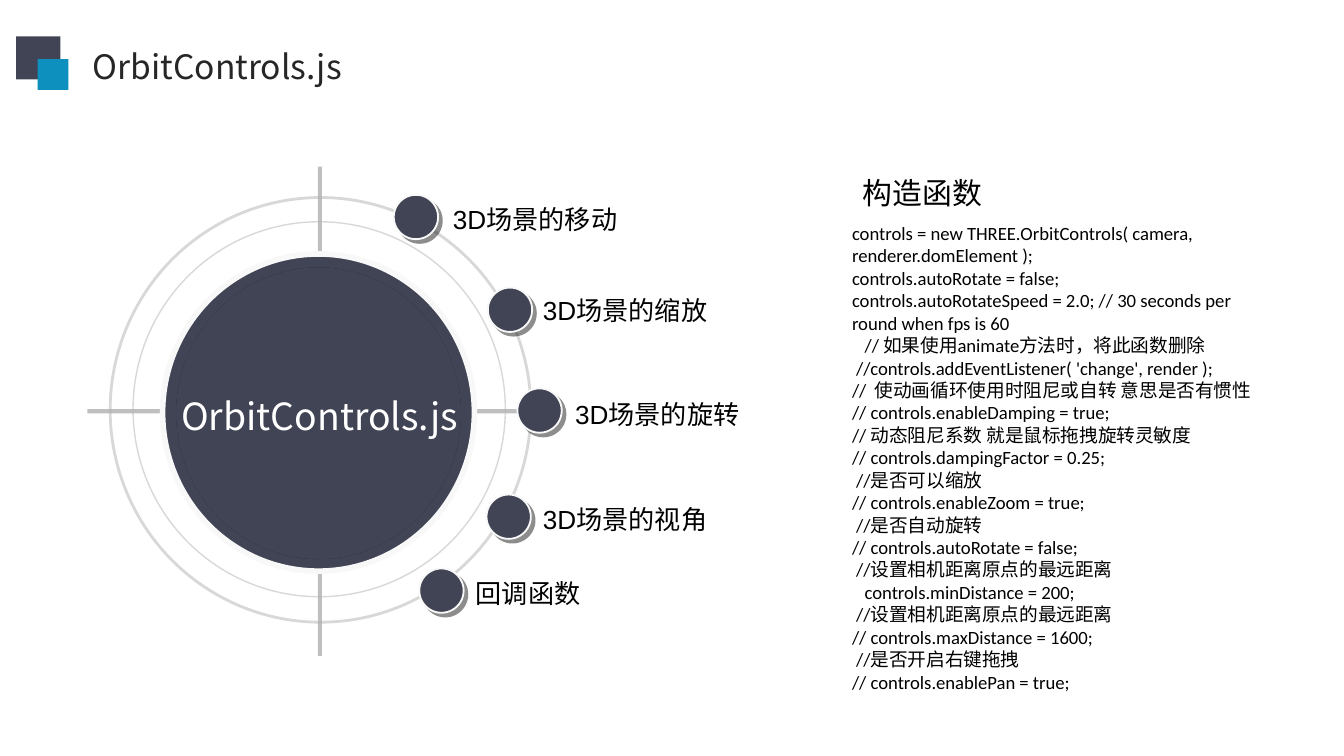
from dataclasses import dataclass
from typing import Optional
import pptx
import pptx.util
import pptx.dml.color
import pptx.enum.shapes
import pptx.enum.text
import pptx.oxml
import pptx.oxml.ns

Inches = pptx.util.Inches
Pt = pptx.util.Pt
Kind = pptx.enum.shapes.MSO_SHAPE
Align = pptx.enum.text.PP_ALIGN
Anchor = pptx.enum.text.MSO_ANCHOR
Fit = pptx.enum.text.MSO_AUTO_SIZE
NS = pptx.oxml.ns.nsdecls("a")

WIDE = Inches(10)
DARK, BLUE, PALE = "414455", "0E90BE", "F8F8F8"
NOTO = "Noto Sans CJK SC"
TIGHT = {"margin_left": Inches(0.08), "margin_right": Inches(0.08),
         "margin_top": Inches(0.04), "margin_bottom": Inches(0.04),
         "word_wrap": True, "auto_size": Fit.NONE}


@dataclass
class Form:
    kind: Kind
    box: tuple
    fill: Optional[str] = None
    line: Optional[str] = None
    width: float = 0
    alpha: int = 100
    shade: Optional[str] = None
    dist: float = 0


@dataclass
class Dot:
    text: str
    left: float
    top: float
    label: tuple


@dataclass
class Style:
    size: float
    face: str
    hue: str = "000000"
    align: Align = Align.LEFT


DOTS = [
    Dot("3D场景的移动", 2.93, 1.45, (3.29, 1.47)),
    Dot("3D场景的缩放", 3.63, 2.14, (3.96, 2.15)),
    Dot("3D场景的旋转", 3.85, 2.89, (4.2, 2.92)),
    Dot("3D场景的视角", 3.62, 3.68, (3.96, 3.7)),
    Dot("回调函数", 3.12, 4.23, (3.46, 4.25)),
]

CODE = """controls = new THREE.OrbitControls( camera, renderer.domElement );
controls.autoRotate = false;
controls.autoRotateSpeed = 2.0; // 30 seconds per round when fps is 60
   // 如果使用animate方法时，将此函数删除
 //controls.addEventListener( 'change', render );
//  使动画循环使用时阻尼或自转 意思是否有惯性
// controls.enableDamping = true;
// 动态阻尼系数 就是鼠标拖拽旋转灵敏度
// controls.dampingFactor = 0.25;
 //是否可以缩放
// controls.enableZoom = true;
 //是否自动旋转
// controls.autoRotate = false;
 //设置相机距离原点的最远距离
   controls.minDistance = 200;
 //设置相机距离原点的最远距离
// controls.maxDistance = 1600;
 //是否开启右键拖拽
// controls.enablePan = true;"""


def paint(hue: str) -> pptx.dml.color.RGBColor:
    return pptx.dml.color.RGBColor.from_string(hue)


def apply(item, looks: dict) -> None:
    for name, value in looks.items():
        setattr(item, name, value)


def stroke(line, hue: str, width: float, alpha: int) -> None:
    line.color.rgb = paint(hue)
    line.width = Pt(width)
    if alpha < 100:
        tint = line.fill._xPr.find(".//" + pptx.oxml.ns.qn("a:srgbClr"))
        tint.append(pptx.oxml.parse_xml(f'<a:alpha {NS} val="{alpha * 1000}"/>'))


def draw(slide, form: Form):
    shape = slide.shapes.add_shape(form.kind, *map(Inches, form.box))
    shape.shadow.inherit = False
    if form.fill:
        shape.fill.solid()
        shape.fill.fore_color.rgb = paint(form.fill)
    else:
        shape.fill.background()
    if form.line:
        stroke(shape.line, form.line, form.width, form.alpha)
    else:
        shape.line.fill.background()
    if form.shade:
        glow = shape._element.spPr.find(pptx.oxml.ns.qn("a:effectLst"))
        glow.append(pptx.oxml.parse_xml(
            f'<a:outerShdw {NS} blurRad="0" dist="{Pt(form.dist)}" dir="2700000" '
            f'algn="ctr" rotWithShape="0"><a:srgbClr val="{form.shade}">'
            f'<a:alpha val="50000"/></a:srgbClr></a:outerShdw>'))
    return shape


def rule(slide, start: tuple, end: tuple) -> None:
    line = slide.shapes.add_connector(
        pptx.enum.shapes.MSO_CONNECTOR.STRAIGHT, *map(Inches, start + end))
    stroke(line.line, "808080", 2.25, 50)
    line._element.spPr.append(pptx.oxml.parse_xml(f"<a:effectLst {NS}/>"))


def write(shape, text: str, style: Style, looks: dict) -> None:
    frame = shape.text_frame
    frame.text = text
    apply(frame, looks)
    for para in frame.paragraphs:
        props = para._p.get_or_add_pPr()
        props.set("marL", "0")
        props.set("indent", "0")
        props.append(pptx.oxml.parse_xml(f"<a:buNone {NS}/>"))
        apply(para, {"alignment": style.align, "space_before": Pt(0),
                     "space_after": Pt(0), "line_spacing": 1.0})
        for run in para.runs:
            apply(run.font, {"size": Pt(style.size), "name": style.face})
            run.font.color.rgb = paint(style.hue)
            run.font._element.append(
                pptx.oxml.parse_xml(f'<a:ea {NS} typeface="{NOTO}"/>'))


def place(shape, box: tuple) -> None:
    apply(shape, dict(zip(("left", "top", "width", "height"), map(Inches, box))))


def label(slide, box: tuple, text: str, style: Style, anchor: Anchor) -> None:
    shape = slide.shapes.add_textbox(*map(Inches, box))
    write(shape, text, style, {**TIGHT, "vertical_anchor": anchor})


def main() -> None:
    deck = pptx.Presentation()
    apply(deck, {"slide_width": WIDE, "slide_height": WIDE * 9 // 16})
    slide = deck.slides.add_slide(deck.slide_layouts[1])

    title, body = slide.placeholders
    place(title, (0.59, 0.29, 2.09, 0.4))
    write(title, "OrbitControls.js", Style(18, NOTO, "262626"),
          {"word_wrap": False, "auto_size": Fit.NONE, "vertical_anchor": Anchor.TOP})
    place(body, (6.26, 1.61, 3.31, 3.61))
    write(body, CODE, Style(10, "Calibri"), {**TIGHT, "vertical_anchor": Anchor.TOP})
    label(slide, (6.34, 1.26, 1.57, 0.35), "构造函数", Style(16, NOTO), Anchor.TOP)

    draw(slide, Form(Kind.RECTANGLE, (0.12, 0.27, 0.33, 0.32), DARK))
    draw(slide, Form(Kind.RECTANGLE, (0.28, 0.44, 0.23, 0.23), BLUE))

    rule(slide, (0.65, 3.06), (4.11, 3.06))
    rule(slide, (2.38, 1.24), (2.38, 4.88))
    for form in (
        Form(Kind.OVAL, (0.99, 1.65, 2.77, 2.79), None, "B2B2B2", 0.75, 50),
        Form(Kind.OVAL, (0.82, 1.47, 3.13, 3.16), None, "B2B2B2", 1.5, 50),
        Form(Kind.OVAL, (1.21, 1.89, 2.32, 2.36), DARK, PALE, 3),
        Form(Kind.OVAL, (1.31, 1.99, 2.12, 2.17), DARK, shade="000000"),
    ):
        draw(slide, form)
    core = draw(slide, Form(Kind.OVAL, (1.7, 2.4, 1.36, 1.39), DARK))
    write(core, "OrbitControls.js", Style(20, NOTO, "FFFFFF", Align.CENTER),
          {"word_wrap": False, "vertical_anchor": Anchor.MIDDLE})

    for dot in DOTS:
        draw(slide, Form(Kind.OVAL, (dot.left, dot.top, 0.33, 0.33), DARK, PALE, 1,
                         shade="1C1C1C", dist=2.8))
        draw(slide, Form(Kind.OVAL, (dot.left + 0.03, dot.top + 0.03, 0.28, 0.28), DARK))
        label(slide, dot.label + (2.03, 0.32), dot.text,
              Style(14, "Arial"), Anchor.MIDDLE)

    deck.save("out.pptx")


if __name__ == "__main__":
    main()
